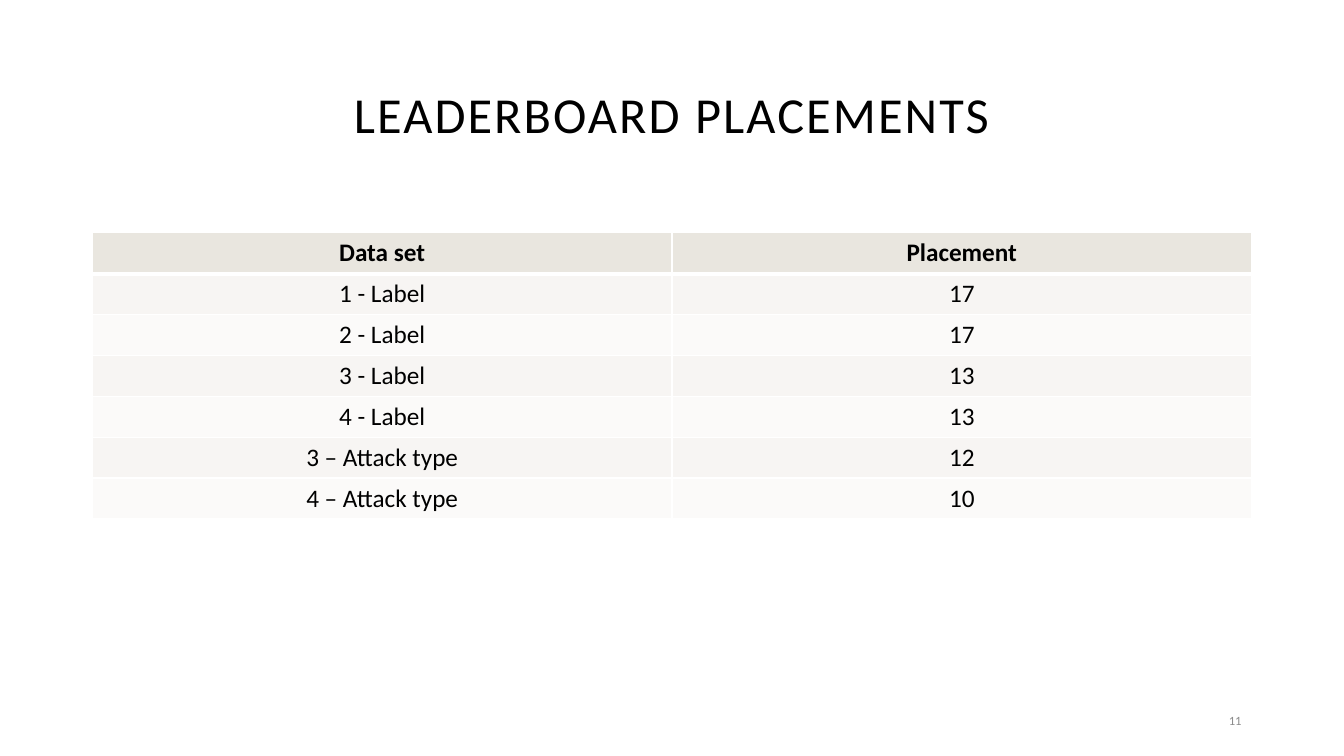
from lxml.etree import SubElement
from pptx import Presentation
from pptx.dml.color import RGBColor
from pptx.enum.text import MSO_ANCHOR, PP_ALIGN
from pptx.oxml.ns import qn
from pptx.util import Pt

FONT = "Calibri"
COLORS = {
    "text": "000000",
    "number": "8C8C8C",
    "header": "E9E6DF",
    "odd": "F7F5F3",
    "even": "FBFAF9",
    "border": "FFFFFF",
}
LEFT, WIDTH = 66, 828
ROW_HEIGHT = 29.2
PLACEMENTS = [
    ("Data set", "Placement"),
    ("1 - Label", "17"),
    ("2 - Label", "17"),
    ("3 - Label", "13"),
    ("4 - Label", "13"),
    ("3 – Attack type", "12"),
    ("4 – Attack type", "10"),
]


def write(p, text, size, color="text", align=PP_ALIGN.CENTER, bold=False):
    p.alignment = align
    r = p.add_run()
    r.text = text
    r.font.name = FONT
    r.font.size = Pt(size)
    r.font.bold = bold
    r.font.color.rgb = RGBColor.from_string(COLORS[color])
    return r


def add_text(s, left, top, width, height, text, size, **style):
    """Add a vertically centred one-line text box and return its run."""
    tf = s.shapes.add_textbox(Pt(left), Pt(top), Pt(width), Pt(height)).text_frame
    tf.word_wrap = True
    tf.vertical_anchor = MSO_ANCHOR.MIDDLE
    return write(tf.paragraphs[0], text, size, **style)


def set_borders(cell, **widths):
    """Draw the given sides (L, R, T, B); they must precede the cell's fill."""
    tc_pr = cell._tc.get_or_add_tcPr()
    for side, width in widths.items():
        ln = SubElement(tc_pr, qn(f"a:ln{side}"), w=str(Pt(width)))
        fill = SubElement(ln, qn("a:solidFill"))
        SubElement(fill, qn("a:srgbClr"), val=COLORS["border"])


def add_placements(s, top):
    rows, cols = len(PLACEMENTS), len(PLACEMENTS[0])
    table = s.shapes.add_table(
        rows, cols, Pt(LEFT), Pt(top), Pt(WIDTH), Pt(ROW_HEIGHT * rows)
    ).table
    for i, values in enumerate(PLACEMENTS):
        table.rows[i].height = Pt(ROW_HEIGHT)
        band = "header" if i == 0 else "odd" if i % 2 else "even"
        for j, value in enumerate(values):
            cell = table.cell(i, j)
            set_borders(cell, L=1, R=1, T=3 if i == 1 else 1, B=3 if i == 0 else 1)
            cell.fill.solid()
            cell.fill.fore_color.rgb = RGBColor.from_string(COLORS[band])
            write(cell.text_frame.paragraphs[0], value, 18, bold=i == 0)


def main():
    prs = Presentation()
    prs.slide_width, prs.slide_height = Pt(960), Pt(540)
    s = prs.slides.add_slide(prs.slide_layouts[6])

    title = add_text(s, LEFT, 28.8, WIDTH, 104.4, "LEADERBOARD PLACEMENTS", 36)
    title.font._element.set("spc", "150")
    add_placements(s, 166.3)
    add_text(s, 678, 500.5, 216, 28.8, "11", 9, color="number", align=PP_ALIGN.RIGHT)

    prs.save("out.pptx")


if __name__ == "__main__":
    main()
